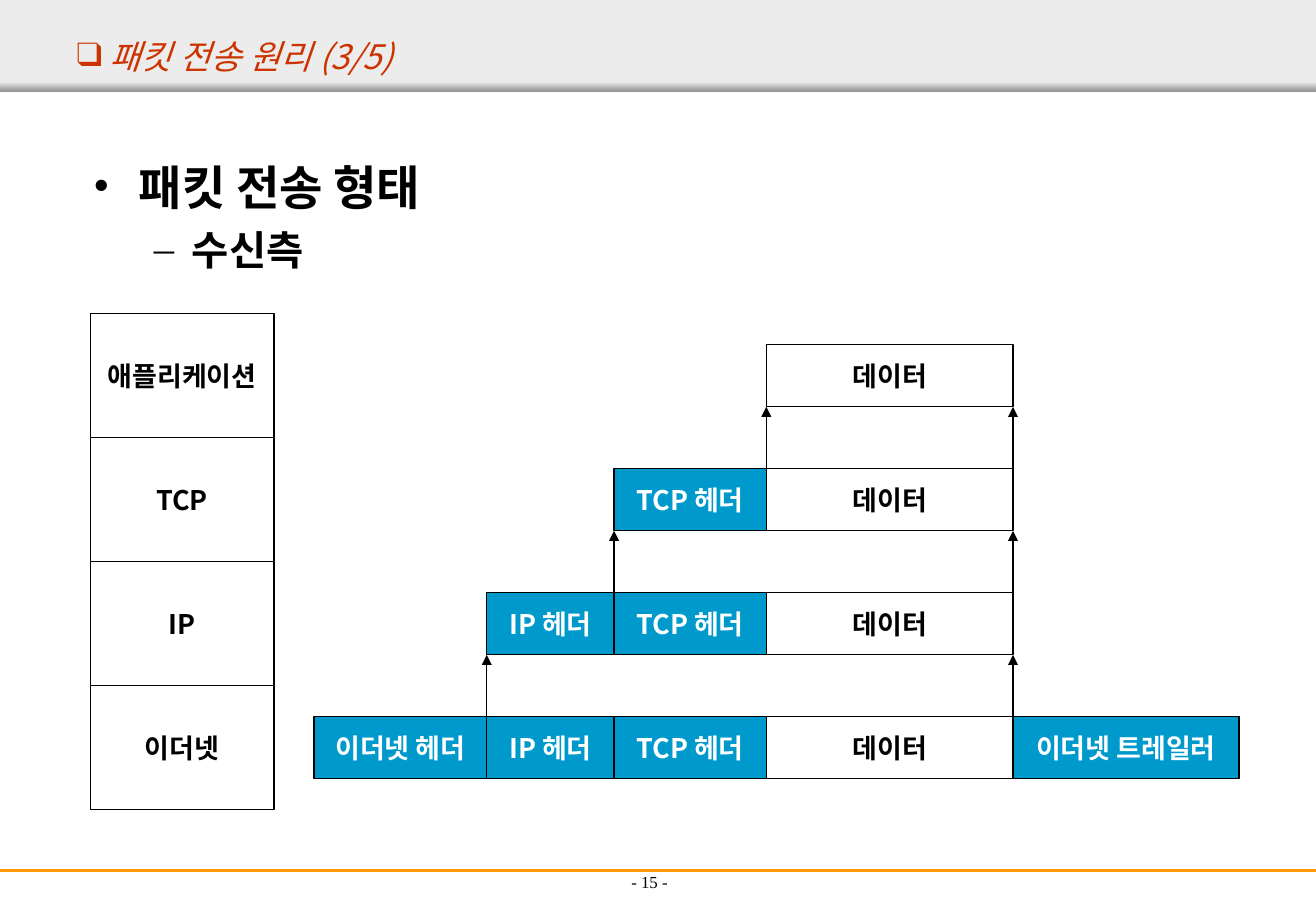
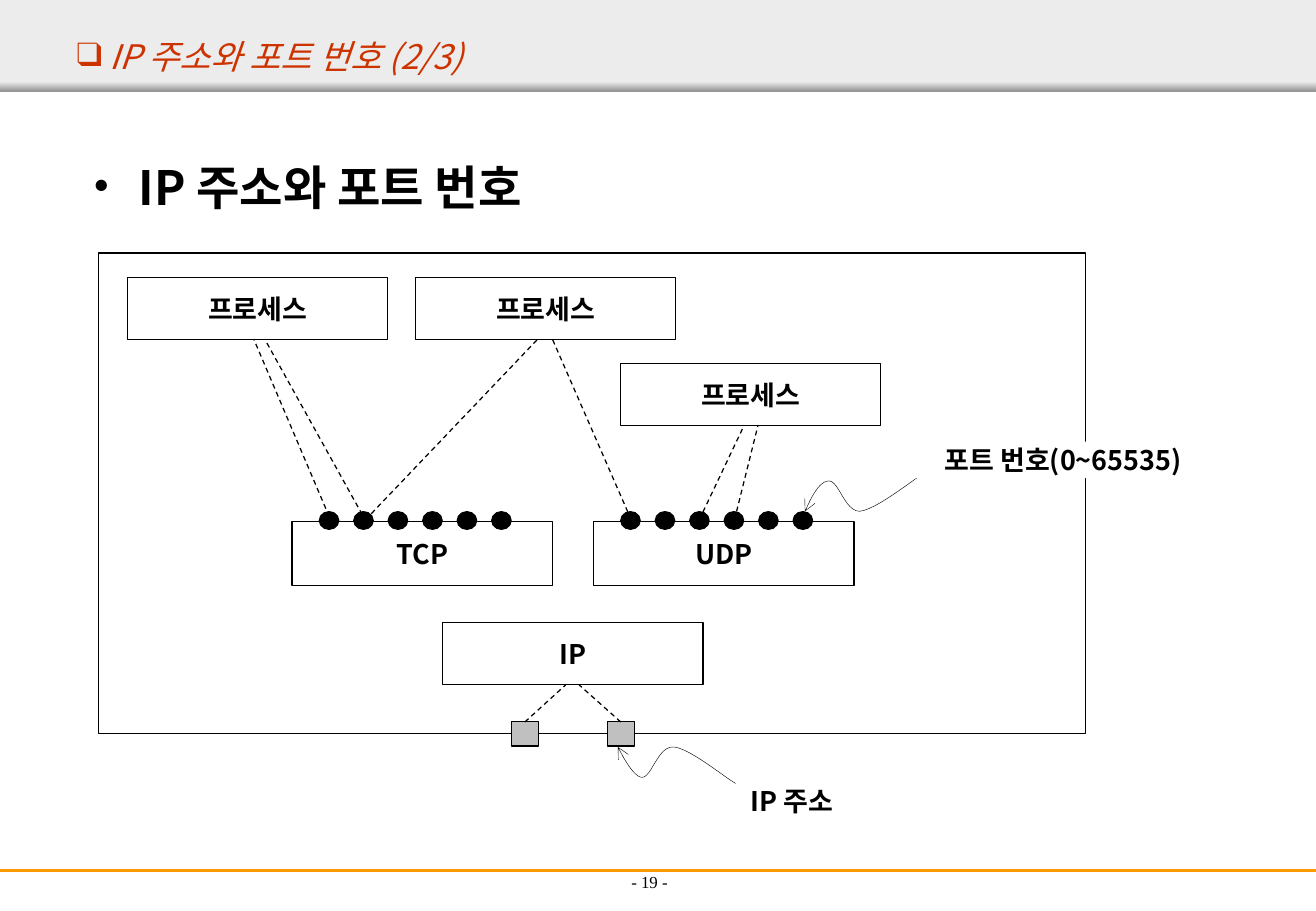
from pptx import Presentation
from pptx.dml.color import RGBColor
from pptx.enum.dml import MSO_LINE
from pptx.enum.shapes import MSO_CONNECTOR as Link, MSO_SHAPE as Kind
from pptx.enum.text import MSO_ANCHOR as Anchor, PP_ALIGN as Align
from pptx.oxml.ns import qn
from pptx.util import Pt
from lxml.etree import SubElement as Sub

WIDE, HIGH = 780.48, 540
SANS, SERIF = "Noto Sans CJK KR", "Times New Roman"
BLACK, WHITE, RED, ORANGE = "000000", "FFFFFF", "CC3300", "FF9900"
BLUE, PALE, DARK, GRAY = "0099CC", "ECECEC", "979797", "C0C0C0"


def color(code):
    return RGBColor.from_string(code)


def pts(*nums):
    return [Pt(n) for n in nums]


def bezier(a, b, c, d, steps=12):
    """Return points along a cubic curve, without its start."""
    for i in range(1, steps + 1):
        t = i / steps
        u = 1 - t
        yield tuple(u**3 * p + 3 * u * u * t * q + 3 * u * t * t * r + t**3 * s
                    for p, q, r, s in zip(a, b, c, d))


class Deck:
    """Hold the shared style and the slide being drawn."""

    def __init__(self):
        self.show = Presentation()
        self.show.slide_width, self.show.slide_height = pts(WIDE, HIGH)

    def page(self, title, number):
        self.slide = self.show.slides.add_slide(self.show.slide_layouts[5])
        self.shapes = self.slide.shapes
        self.box(0, 0, WIDE, 54, fill=PALE, line=None)
        band = self.box(0, 48.5, WIDE, 5.5, line=None)
        band.fill.gradient()
        band.fill.gradient_angle = 270
        for stop, code in zip(band.fill.gradient_stops, (PALE, DARK)):
            stop.color.rgb = color(code)
        self.rule((0, 516), (WIDE, 516), ORANGE, 1.5)
        foot = self.label(265.7, 496, 239, 36, f"- {number} -", Anchor.BOTTOM)
        self.style(foot.paragraphs[0], 10, font=SERIF)
        self.head(title)

    def head(self, title):
        shape = self.shapes.title
        shape.element.getparent().append(shape.element)
        shape.left, shape.top, shape.width, shape.height = pts(38.2, 18, 742, 30)
        frame = shape.text_frame
        frame.text = title
        frame.word_wrap = True
        frame.vertical_anchor = Anchor.MIDDLE
        para = frame.paragraphs[0]
        para.alignment = Align.LEFT
        self.bullet(para, "❑", RED)
        self.style(para, 20, RED, italic=True)

    def label(self, x, y, w, h, text, anchor=Anchor.TOP):
        frame = self.shapes.add_textbox(*pts(x, y, w, h)).text_frame
        frame.word_wrap = True
        frame.vertical_anchor = anchor
        frame.text = text
        frame.paragraphs[0].alignment = Align.CENTER
        return frame

    def style(self, para, size, code=BLACK, font=SANS, bold=False, italic=False):
        for run in para.runs:
            face = run.font
            face.name, face.size = font, Pt(size)
            face.bold, face.italic = bold, italic
            face.color.rgb = color(code)
            Sub(run._r.rPr, qn("a:ea"), typeface=font)

    def bullet(self, para, sign, code=BLACK, left=0, hang=0):
        props = para._p.get_or_add_pPr()
        props.set("marL", str(Pt(left)))
        props.set("indent", str(-Pt(hang)))
        Sub(Sub(props, qn("a:buClr")), qn("a:srgbClr"), val=code)
        Sub(props, qn("a:buFont"), typeface=SERIF)
        Sub(props, qn("a:buChar"), char=sign)

    def outline(self, *items):
        frame = self.label(48.2, 90, 684, 392, "\n".join(items))
        levels = (("•", 27, 27, 28, 0), ("–", 58.5, 22.5, 24, 6))
        for para, (sign, left, hang, size, gap) in zip(frame.paragraphs, levels):
            para.alignment = Align.LEFT
            if gap:
                para.space_before = Pt(gap)
            self.bullet(para, sign, BLACK, left, hang)
            self.style(para, size, bold=True)

    def paint(self, shape, fill, line, width=0.75):
        shape.shadow.inherit = False
        if fill:
            shape.fill.solid()
            shape.fill.fore_color.rgb = color(fill)
        else:
            shape.fill.background()
        if line:
            shape.line.color.rgb = color(line)
            shape.line.width = Pt(width)
        else:
            shape.line.fill.background()

    def box(self, x, y, w, h, text="", fill=None, line=BLACK, kind=Kind.RECTANGLE):
        shape = self.shapes.add_shape(kind, *pts(x, y, w, h))
        self.paint(shape, fill, line)
        if text:
            frame = shape.text_frame
            frame.text = text
            frame.word_wrap = False
            frame.vertical_anchor = Anchor.MIDDLE
            para = frame.paragraphs[0]
            para.alignment = Align.CENTER
            self.style(para, 16, WHITE if fill == BLUE else BLACK, bold=True)
        return shape

    def tip(self, shape, kind):
        Sub(shape.element.xpath(".//a:ln")[0], qn("a:headEnd"), type=kind)

    def rule(self, start, end, code=BLACK, width=0.75, dash=False, tip=None):
        link = self.shapes.add_connector(Link.STRAIGHT, *pts(*start, *end))
        link.line.color.rgb = color(code)
        link.line.width = Pt(width)
        if dash:
            link.line.dash_style = MSO_LINE.DASH
        if tip:
            self.tip(link, tip)
        Sub(link.element.spPr, qn("a:effectLst"))

    def curve(self, *knots):
        dots = [dot for i in range(0, len(knots) - 1, 3)
                for dot in bezier(*knots[i:i + 4])]
        path = self.shapes.build_freeform(*pts(*knots[0]))
        path.add_line_segments([pts(*dot) for dot in dots], close=False)
        shape = path.convert_to_shape()
        self.paint(shape, None, BLACK, 0.25)
        self.tip(shape, "arrow")


def packets(deck):
    """Draw the layers and the packet that loses a header at each."""
    deck.page(" 패킷 전송 원리 (3/5)", 15)
    deck.outline("패킷 전송 형태", "수신측")
    step, high, top = 73.5, 36.75, 204.4
    edges = (186.3, 288.7, 364.2, 454.5, 600.8, 734.8)
    parts = ("이더넷 헤더", "IP 헤더", "TCP 헤더", "데이터", "이더넷 트레일러")
    for row, name in enumerate(("애플리케이션", "TCP", "IP", "이더넷")):
        deck.box(53.5, 186 + row * step, 109, step, name)
        y = top + row * step
        first = 3 - row
        last = 5 if row == 3 else 4
        for col in range(first, last):
            fill = None if parts[col] == "데이터" else BLUE
            deck.box(edges[col], y, edges[col + 1] - edges[col], high,
                     parts[col], fill)
        if row:
            for x in (edges[first + 1], edges[4]):
                deck.rule((x, y - step + high), (x, y), tip="triangle")


def ports(deck):
    """Draw processes joined to ports, and the host's addresses."""
    deck.page(" IP 주소와 포트 번호 (2/3)", 19)
    deck.outline("IP 주소와 포트 번호")
    deck.box(58.3, 150, 585.5, 285)
    wide, high = 154.5, 36.75
    for x, y, name in ((75.6, 164.6, "프로세스"), (246.4, 164.6, "프로세스"),
                       (368, 215.7, "프로세스"), (262.5, 369.2, "IP")):
        deck.box(x, y, wide, high, name)
    for x, name in ((173.2, "TCP"), (352, "UDP")):
        deck.box(x, 309.3, wide, 38, name)
        for i in range(6):
            deck.box(x + 16.2 + i * 20.45, 303.3, 11.5, 10.5,
                     fill=BLACK, kind=Kind.OVAL)
    for x in (303.3, 360.2):
        deck.box(x, 427.8, 16, 14.5, fill=GRAY)
    for start, end in (
            ((197.3, 311), (150.5, 201)), ((217.4, 309.6), (157, 201)),
            ((216.7, 308.2), (319, 201)), ((374.4, 308.2), (327.6, 201)),
            ((414.7, 308.2), (441.4, 252)), ((435.6, 308.2), (449.6, 252)),
            ((311.3, 428), (335.5, 406)), ((368.2, 428), (343.5, 406))):
        deck.rule(start, end, dash=True)
    deck.curve((477.4, 303.1), (481.7, 293.8), (486, 285.1), (491.8, 285.1),
               (497.5, 285.1), (501.1, 303.1), (509.8, 303.1),
               (519.1, 302.4), (540.7, 285.1), (546.5, 281.5))
    deck.curve((366.5, 442.8), (370.8, 451.4), (376.6, 460.8), (380.9, 460.8),
               (386.6, 460.8), (390.2, 442.1), (399.6, 442.8),
               (409, 443.5), (429.8, 460.8), (436.3, 464.4))
    deck.box(539, 261.8, 183, 21.6, "포트 번호(0~65535)", WHITE, None)
    deck.box(412.8, 467.3, 113.8, 14.4, "IP 주소", line=None)


def main():
    deck = Deck()
    packets(deck)
    ports(deck)
    deck.show.save("out.pptx")


if __name__ == "__main__":
    main()
